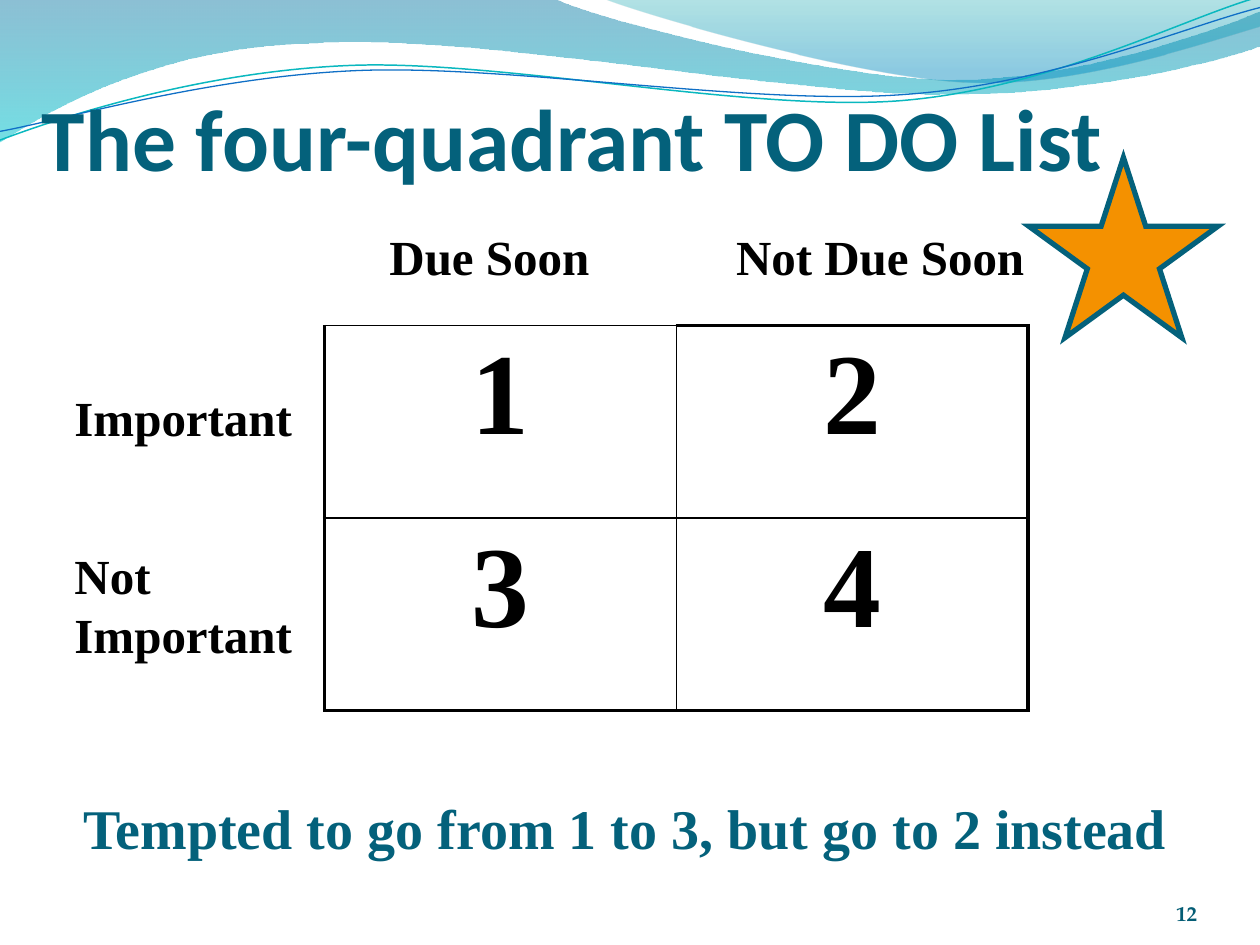
from pptx import Presentation
from pptx.dml.color import RGBColor
from pptx.enum.shapes import MSO_SHAPE as Shape
from pptx.enum.text import MSO_ANCHOR as Anchor, PP_ALIGN as Align
from pptx.oxml import parse_xml
from pptx.oxml.ns import nsdecls, qn
from pptx.util import Pt

TEAL, BLACK, SERIF = "04617B", "000000", "Times New Roman"
hex_color = RGBColor.from_string


def write_text(frame, text, size, color=BLACK, font=SERIF, align=Align.LEFT):
    frame.text = text
    for paragraph in frame.paragraphs:
        paragraph.alignment = align
        for run in paragraph.runs:
            run.font.size = Pt(size)
            run.font.name = font
            run.font.bold = True
            run.font.color.rgb = hex_color(color)


def add_curve(start, parts, close):
    """Draw lines (x, y) and cubic curves (x1, y1, x2, y2, x, y) from start."""
    points = [(Pt(x), Pt(y)) for part in parts for x, y in zip(part[::2], part[1::2])]
    builder = shapes.build_freeform(Pt(start[0]), Pt(start[1]))
    curve = builder.add_line_segments(points, close=close).convert_to_shape()
    curve.shadow.inherit = False
    segments = iter(list(curve.element.iter(qn("a:lnTo"))))
    for part in parts:
        segment = next(segments)
        if len(part) == 6:
            cubic = parse_xml(f'<a:cubicBezTo {nsdecls("a")}/>')
            segment.addprevious(cubic)
            for piece in (segment, next(segments), next(segments)):
                cubic.append(piece[0])
                piece.getparent().remove(piece)
    return curve


prs = Presentation()
prs.slide_width, prs.slide_height = Pt(720), Pt(540)
slide = prs.slides.add_slide(prs.slide_layouts[6])
shapes = slide.shapes

# Header waves: path and gradient stops (position, colour, opacity)
waves = [
    ([(0, 0), (317, -0.7), (343, 12, 478, 45.4, 546, 45.4), (614, 45.4, 690, 19, 720, 6.5),
      (721, 26), (708, 32, 626, 54.7, 537, 54), (448, 54, 275, 20, 185, 24.5),
      (93, 26, 33, 60, -0.7, 81.4)],
     [(0, "0074A1", 45), (100, "00C6CF", 55)]),
    ([(345, -0.7), (366, 8, 491, 44.6, 554, 46.8), (616, 49.7, 692, 23, 720, 15), (720, 0)],
     [(0, "00A1A9", 30), (80, "008BBF", 45)]),
]
for (start, *parts), stops in waves:
    wave = add_curve(start, parts, close=True)
    wave.line.fill.background()
    stop_xml = "".join(
        f'<a:gs pos="{position * 1000}"><a:srgbClr val="{color}">'
        f'<a:alpha val="{opacity * 1000}"/></a:srgbClr></a:gs>'
        for position, color, opacity in stops)
    wave.fill.background()
    no_fill = wave.element.spPr.find(qn("a:noFill"))
    wave.element.spPr.replace(no_fill, parse_xml(
        f'<a:gradFill {nsdecls("a")}><a:gsLst>{stop_xml}</a:gsLst>'
        '<a:lin ang="5400000" scaled="0"/></a:gradFill>'))

# Thin lines along the waves, slightly tilted
wave_lines = [
    ([(-1.4, 63.1), (33.8, 51.7, 114.1, 29.4, 199.8, 29.9),
      (284.9, 30.3, 425.8, 67.2, 512.4, 64.9), (599.1, 62.3, 676.6, 25.7, 720.2, 15.5)],
     "0AB8BF", 0.85),
    ([(-1.1, 58.1), (33, 53.7, 118.2, 32.6, 204.1, 33),
      (290.6, 33.4, 429.1, 63.8, 515.5, 61.4), (601.4, 59.6, 678.5, 30, 721.4, 21.3)],
     "0F6FC6", 0.75),
]
for (start, *parts), color, width in wave_lines:
    line = add_curve(start, parts, close=False)
    line.rotation = 357.3
    line.fill.background()
    line.line.color.rgb = hex_color(color)
    line.line.width = Pt(width)

# Title, slide number and closing advice, all standing on the bottom of their boxes
captions = [
    ((24, 18, 612, 90), 3.6, "The four-quadrant TO DO List", 50, TEAL, "Calibri", Align.LEFT),
    ((624, 500.4, 60, 28.8), 0, "12", 12, "045D75", "TeX Gyre Pagella", Align.RIGHT),
    ((47.7, 432, 642, 60), 3.6, "Tempted to go from 1 to 3, but go to 2 instead", 32,
     TEAL, SERIF, Align.LEFT),
]
for box, top_inset, *wording in captions:
    frame = shapes.add_textbox(*map(Pt, box)).text_frame
    frame.word_wrap = True
    frame.vertical_anchor = Anchor.BOTTOM
    frame.margin_left = frame.margin_right = frame.margin_bottom = 0
    frame.margin_top = Pt(top_inset)
    write_text(frame, *wording)

# Quadrant table: heavy outer borders, thin inner ones
quadrants = shapes.add_table(2, 2, Pt(185.5), Pt(186), Pt(402), Pt(220)).table
quadrants.first_row = quadrants.horz_banding = False
for row in range(2):
    for col in range(2):
        cell = quadrants.cell(row, col)
        write_text(cell.text_frame, str(2 * row + col + 1), 66, align=Align.CENTER)
        cell_props = cell._tc.get_or_add_tcPr()
        heavy = {"lnL": col == 0, "lnR": col == 1, "lnT": row == 0 and col == 1, "lnB": row == 1}
        for side, is_heavy in heavy.items():
            cell_props.append(parse_xml(
                f'<a:{side} {nsdecls("a")} w="{Pt(2.25 if is_heavy else 1)}"><a:solidFill>'
                f'<a:srgbClr val="{BLACK}"/></a:solidFill></a:{side}>'))
        cell.fill.background()

# Row and column labels
labels = [
    ("Important", 35.5, 218, 139, 41, False),
    ("Not\nImportant", 35.5, 308, 139, 74, False),
    ("Due Soon", 215.5, 126, 138, 41, True),
    ("Not Due Soon", 413.5, 126, 179, 41, False),
]
for text, left, top, width, height, wraps in labels:
    frame = shapes.add_textbox(Pt(left), Pt(top), Pt(width), Pt(height)).text_frame
    frame.word_wrap = wraps
    write_text(frame, text, 28)

# Star beside quadrant 2, with sharp corners
star = shapes.add_shape(Shape.STAR_5_POINT, Pt(588), Pt(90), Pt(108), Pt(103))
star.shadow.inherit = False
star.fill.solid()
star.fill.fore_color.rgb = hex_color("F49100")
star.line.color.rgb = hex_color(TEAL)
star.line.width = Pt(3)
star.element.spPr.find(qn("a:ln")).append(
    parse_xml(f'<a:miter {nsdecls("a")} lim="800000"/>'))

prs.save("out.pptx")
